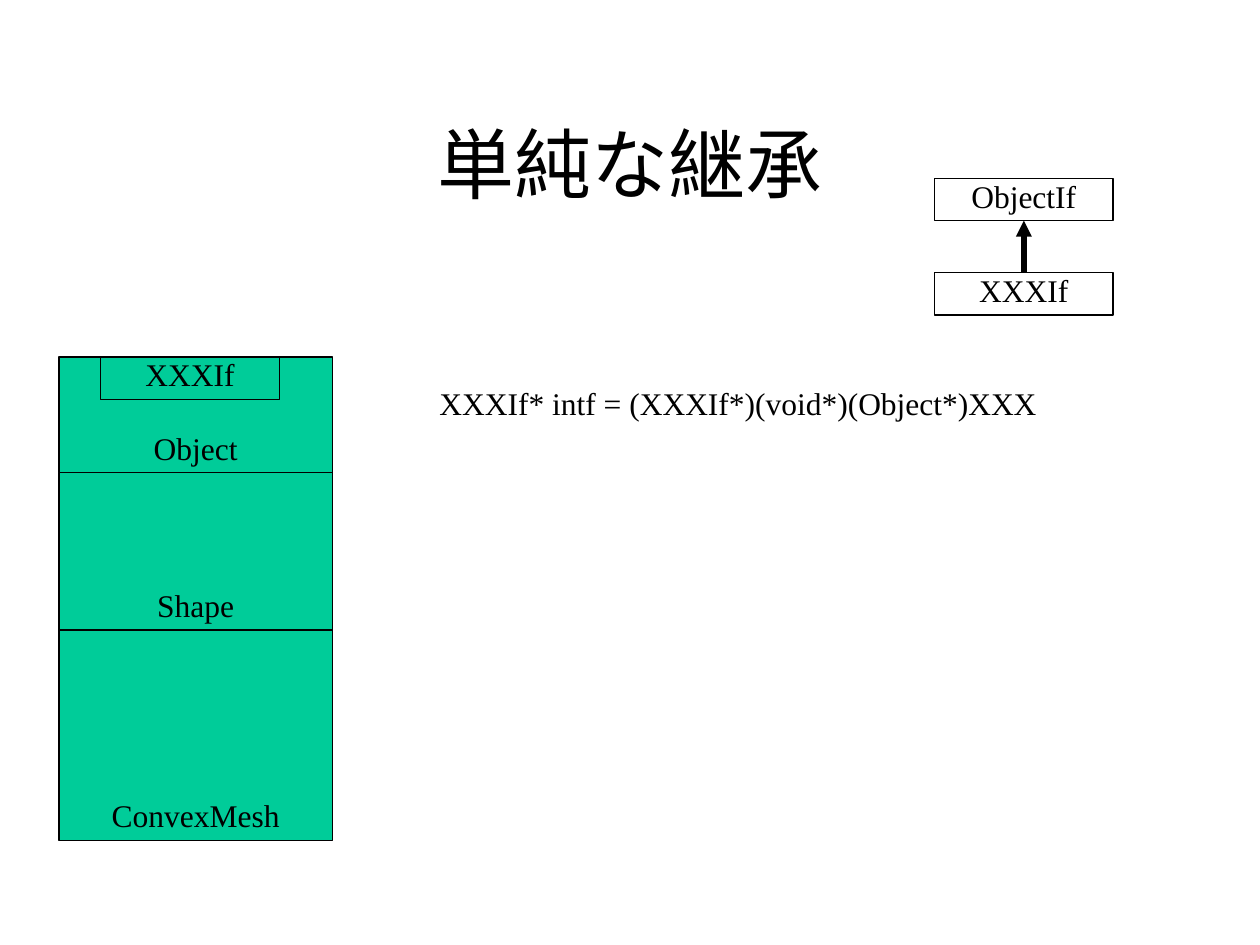
from dataclasses import dataclass

from lxml import etree
from pptx import Presentation
from pptx import util as u
from pptx.dml.color import RGBColor
from pptx.enum import shapes, text
from pptx.oxml.ns import qn


@dataclass(frozen=True)
class Theme:
    font: str = "Times New Roman"
    ink: RGBColor = RGBColor(0x00, 0x00, 0x00)
    green: RGBColor = RGBColor(0x00, 0xCC, 0x99)
    title_size: int = 44
    body_size: int = 18
    border: float = 0.75
    arrow: float = 3


class Diagram:
    def __init__(self, slide, theme):
        self.slide = slide
        self.theme = theme

    def add_text(self, sp, content, size, align, anchor, wrap=False):
        tf = sp.text_frame
        tf.word_wrap = wrap
        tf.vertical_anchor = anchor
        p = tf.paragraphs[0]
        p.alignment = align
        r = p.add_run()
        r.text = content
        r.font.size = u.Pt(size)
        r.font.name = self.theme.font
        r.font.color.rgb = self.theme.ink

    def box(self, label, x, y, w, h, fill=None):
        sp = self.slide.shapes.add_shape(
            shapes.MSO_SHAPE.RECTANGLE, u.Cm(x), u.Cm(y), u.Cm(w), u.Cm(h))
        sp.shadow.inherit = False
        if fill is None:
            sp.fill.background()
        else:
            sp.fill.solid()
            sp.fill.fore_color.rgb = fill
        sp.line.color.rgb = self.theme.ink
        sp.line.width = u.Pt(self.theme.border)
        self.add_text(sp, label, self.theme.body_size,
                      text.PP_ALIGN.CENTER, text.MSO_ANCHOR.BOTTOM)

    def title(self, content, x, y, w, h):
        sp = self.slide.shapes.add_textbox(u.Cm(x), u.Cm(y), u.Cm(w), u.Cm(h))
        self.add_text(sp, content, self.theme.title_size,
                      text.PP_ALIGN.CENTER, text.MSO_ANCHOR.MIDDLE, wrap=True)

    def code(self, content, x, y, w, h):
        sp = self.slide.shapes.add_textbox(u.Cm(x), u.Cm(y), u.Cm(w), u.Cm(h))
        self.add_text(sp, content, self.theme.body_size,
                      text.PP_ALIGN.LEFT, text.MSO_ANCHOR.TOP)

    def arrow(self, x1, y1, x2, y2):
        cx = self.slide.shapes.add_connector(
            shapes.MSO_CONNECTOR.STRAIGHT, u.Cm(x1), u.Cm(y1), u.Cm(x2), u.Cm(y2))
        cx.line.color.rgb = self.theme.ink
        cx.line.width = u.Pt(self.theme.arrow)
        sp_pr = cx.element.spPr
        etree.SubElement(sp_pr.find(qn("a:ln")), qn("a:tailEnd"), type="triangle")
        etree.SubElement(sp_pr, qn("a:effectLst"))


def main():
    prs = Presentation()
    prs.slide_width, prs.slide_height = u.Cm(25.4), u.Cm(19.05)
    theme = Theme()
    d = Diagram(prs.slides.add_slide(prs.slide_layouts[6]), theme)

    # Memory layout: stacked class blocks
    stack_x, stack_y, stack_w = 1.19, 7.2, 5.51
    y = stack_y
    for name, height in (("Object", 2.33), ("Shape", 3.17), ("ConvexMesh", 4.24)):
        d.box(name, stack_x, y, stack_w, height, theme.green)
        y += height

    # Interface at the top of the Object block
    if_w, if_h = 3.6, 0.85
    d.box("XXXIf", 2.03, stack_y, if_w, if_h, theme.green)

    # Cast expression
    d.code("XXXIf* intf = (XXXIf*)(void*)(Object*)XXX", 8.61, 7.62, 12.55, 1.02)

    # Title
    d.title("単純な継承", 1.9, 1.7, 21.6, 3.17)

    # Inheritance diagram: derived interface points to its base
    if_x, base_y, derived_y = 18.84, 3.6, 5.5
    d.box("XXXIf", if_x, derived_y, if_w, if_h)
    d.box("ObjectIf", if_x, base_y, if_w, if_h)
    middle = if_x + if_w / 2
    d.arrow(middle, derived_y, middle, base_y + if_h)

    prs.save("out.pptx")


if __name__ == "__main__":
    main()
